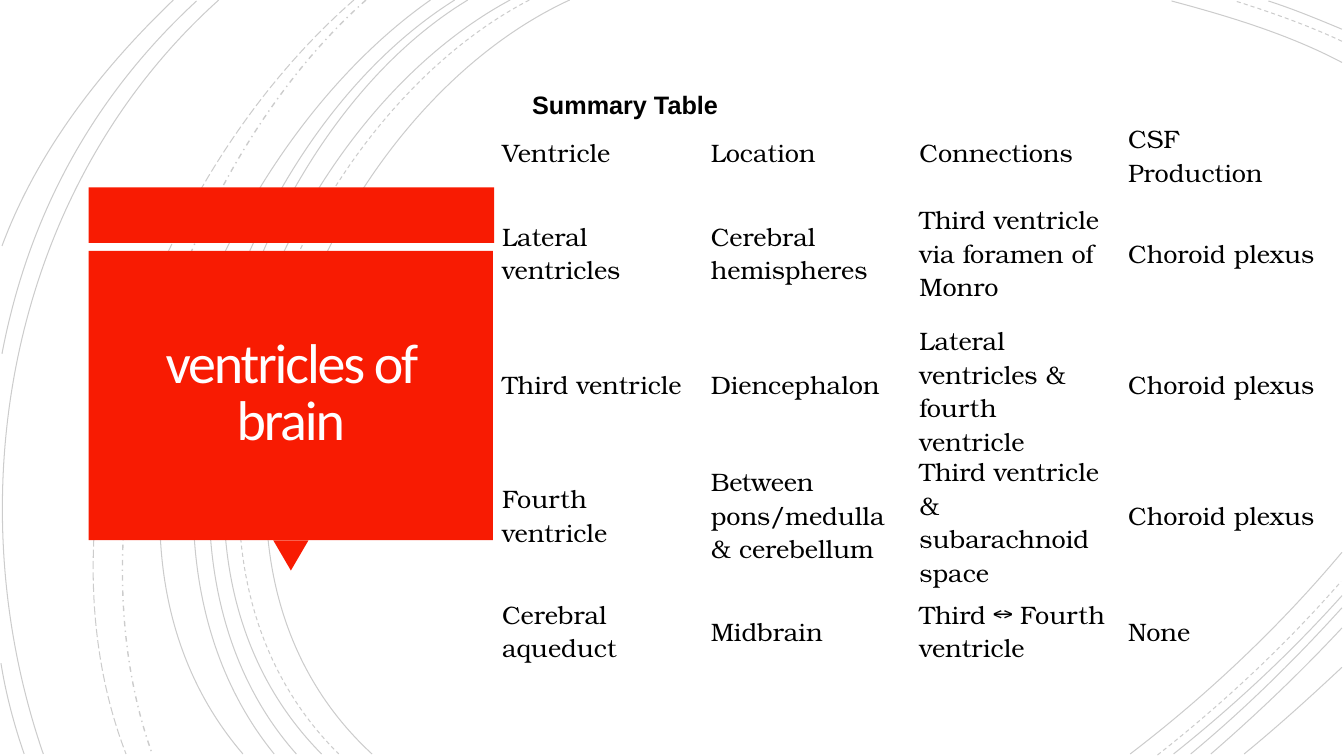
from typing import NamedTuple

from lxml.etree import SubElement
from pptx import Presentation
from pptx.dml.color import RGBColor
from pptx.enum.dml import MSO_LINE
from pptx.enum.shapes import MSO_SHAPE
from pptx.enum.text import MSO_ANCHOR, PP_ALIGN
from pptx.oxml.ns import qn
from pptx.util import Pt

PX = 9144  # EMU per px, 100 px to the inch
RED = RGBColor(0xF8, 0x1B, 0x02)
BLACK = RGBColor(0x00, 0x00, 0x00)
TITLE_WHITE = RGBColor(0xFF, 0xFE, 0xFF)
NO_GRID_STYLE = "{2D5ABB26-0587-4C30-8999-92F81FD0307C}"


class Point(NamedTuple):
    x: int
    y: int


class Arc(NamedTuple):
    """A cubic curve from start to end, pulled towards two handles."""
    start: Point
    pull1: Point
    pull2: Point
    end: Point
    dash: MSO_LINE = MSO_LINE.SOLID
    weight: float = 0.75


class Block(NamedTuple):
    kind: MSO_SHAPE
    left: int
    top: int
    width: int
    height: int
    rotation: int = 0


ARCS = [
    Arc(Point(565, 0), Point(315, 115), Point(143, 540), Point(369, 748)),
    Arc(Point(1331, 62), Point(1278, 34), Point(1218, 16), Point(1162, 1)),
    Arc(Point(1121, 748), Point(1197, 690), Point(1269, 622), Point(1331, 548)),
    Arc(Point(525, 0), Point(285, 125), Point(123, 537), Point(336, 748), MSO_LINE.DASH),
    Arc(Point(1331, 41), Point(1297, 25), Point(1260, 12), Point(1225, 1), MSO_LINE.DASH),
    Arc(Point(1148, 749), Point(1213, 698), Point(1275, 640), Point(1330, 577), MSO_LINE.DASH),
    Arc(Point(506, 0), Point(270, 127), Point(110, 537), Point(319, 748)),
    Arc(Point(1331, 29), Point(1307, 19), Point(1283, 9), Point(1258, 1)),
    Arc(Point(1164, 748), Point(1223, 701), Point(1280, 648), Point(1331, 591)),
    Arc(Point(464, 0), Point(244, 133), Point(110, 541), Point(294, 748)),
    Arc(Point(1181, 748), Point(1234, 704), Point(1284, 655), Point(1331, 603)),
    Arc(Point(451, 0), Point(231, 138), Point(97, 533), Point(272, 748)),
    Arc(Point(1201, 748), Point(1246, 709), Point(1290, 667), Point(1331, 623)),
    Arc(Point(427, 0), Point(217, 147), Point(53, 529), Point(241, 748)),
    Arc(Point(1234, 748), Point(1267, 721), Point(1299, 692), Point(1331, 662)),
    Arc(Point(363, 0), Point(176, 166), Point(65, 509), Point(151, 748), MSO_LINE.DASH_DOT, 1),
    Arc(Point(351, 0), Point(157, 169), Point(29, 499), Point(125, 748), MSO_LINE.LONG_DASH),
    Arc(Point(217, 0), Point(11, 185), Point(-46, 490), Point(43, 748)),
    Arc(Point(195, 1), Point(92, 96), Point(28, 214), Point(2, 351)),
    Arc(Point(1, 658), Point(6, 689), Point(14, 719), Point(24, 748)),
    Arc(Point(172, 0), Point(100, 69), Point(37, 150), Point(2, 244)),
]

CALLOUT = [
    Block(MSO_SHAPE.RECTANGLE, 88, 186, 402, 55),
    Block(MSO_SHAPE.ISOSCELES_TRIANGLE, 271, 536, 35, 30, 180),
    Block(MSO_SHAPE.RECTANGLE, 88, 249, 401, 287),
]

ROW_HEIGHTS = [70, 130, 130, 130, 100]
COLUMN_WIDTH = 207
VENTRICLES = [
    ("Ventricle", "Location", "Connections", "CSF Production"),
    ("Lateral ventricles", "Cerebral hemispheres",
     "Third ventricle via foramen of Monro", "Choroid plexus"),
    ("Third ventricle", "Diencephalon",
     "Lateral ventricles & fourth ventricle", "Choroid plexus"),
    ("Fourth ventricle", "Between pons/medulla & cerebellum",
     "Third ventricle & subarachnoid space", "Choroid plexus"),
    ("Cerebral aqueduct", "Midbrain", "Third ↔ Fourth ventricle", "None"),
]


def bend(sp) -> None:
    """Turn the three straight segments of a freeform into one cubic curve."""
    segments = list(sp._element.iter(qn("a:lnTo")))
    outline = segments[0].getparent()
    curve = SubElement(outline, qn("a:cubicBezTo"))
    for segment in segments:
        curve.append(segment[0])
        outline.remove(segment)


def add_arc(shapes, arc: Arc) -> None:
    builder = shapes.build_freeform(*arc.start, scale=PX)
    builder.add_line_segments([arc.pull1, arc.pull2, arc.end], close=False)
    sp = builder.convert_to_shape()
    bend(sp)
    sp.shadow.inherit = False
    sp.fill.background()
    sp.line.color.rgb = BLACK
    sp.line.width = Pt(arc.weight)
    sp.line.dash_style = arc.dash
    color = next(sp.line._ln.iter(qn("a:srgbClr")))
    SubElement(color, qn("a:alpha"), val="20000")


def add_block(shapes, block: Block) -> None:
    sp = shapes.add_shape(block.kind, *(PX * n for n in block[1:5]))
    sp.rotation = block.rotation
    sp.shadow.inherit = False
    sp.fill.solid()
    sp.fill.fore_color.rgb = RED
    sp.line.fill.background()


def write(tf, text: str, *, font: str, size: int = 18, color: RGBColor = BLACK,
          bold: bool = False, align: PP_ALIGN = PP_ALIGN.LEFT,
          line_spacing: float = 1.0, tracking: float = 0) -> None:
    tf.word_wrap = True
    p = tf.paragraphs[0]
    p.alignment = align
    p.line_spacing = line_spacing
    r = p.add_run()
    r.text = text
    r.font.name = font
    r.font.size = Pt(size)
    r.font.bold = bold
    r.font.color.rgb = color
    if tracking:
        r.font._element.set("spc", str(round(tracking * 100)))


def add_title(shapes) -> None:
    tf = shapes.add_textbox(97 * PX, 257 * PX, 383 * PX, 269 * PX).text_frame
    tf.vertical_anchor = MSO_ANCHOR.MIDDLE
    tf.margin_left = tf.margin_right = tf.margin_top = tf.margin_bottom = 25 * PX
    write(tf, "ventricles of brain", font="Calibri", size=40, color=TITLE_WHITE,
          align=PP_ALIGN.CENTER, line_spacing=0.85, tracking=-1.5)


def add_table_heading(shapes) -> None:
    tf = shapes.add_textbox(518 * PX, 66 * PX, 815 * PX, 99 * PX).text_frame
    tf.vertical_anchor = MSO_ANCHOR.TOP
    tf.margin_top = 17 * PX
    write(tf, "Summary Table", font="Arial", bold=True, line_spacing=1.2)


def add_ventricle_table(shapes) -> None:
    columns = len(VENTRICLES[0])
    frame = shapes.add_table(len(VENTRICLES), columns, 488 * PX, 116 * PX,
                             columns * COLUMN_WIDTH * PX, sum(ROW_HEIGHTS) * PX)
    table = frame.table
    table.first_row = table.horz_banding = False
    next(frame._element.iter(qn("a:tableStyleId"))).text = NO_GRID_STYLE
    for column in table.columns:
        column.width = COLUMN_WIDTH * PX
    for row, height, texts in zip(table.rows, ROW_HEIGHTS, VENTRICLES):
        row.height = height * PX
        for cell, text in zip(row.cells, texts):
            cell.fill.background()
            cell.vertical_anchor = MSO_ANCHOR.MIDDLE
            write(cell.text_frame, text, font="TeX Gyre Bonum")


def main() -> None:
    prs = Presentation()
    prs.slide_width, prs.slide_height = 1333 * PX, 750 * PX
    shapes = prs.slides.add_slide(prs.slide_layouts[6]).shapes
    for arc in ARCS:
        add_arc(shapes, arc)
    for block in CALLOUT:
        add_block(shapes, block)
    add_title(shapes)
    add_table_heading(shapes)
    add_ventricle_table(shapes)
    prs.save("out.pptx")


if __name__ == "__main__":
    main()
